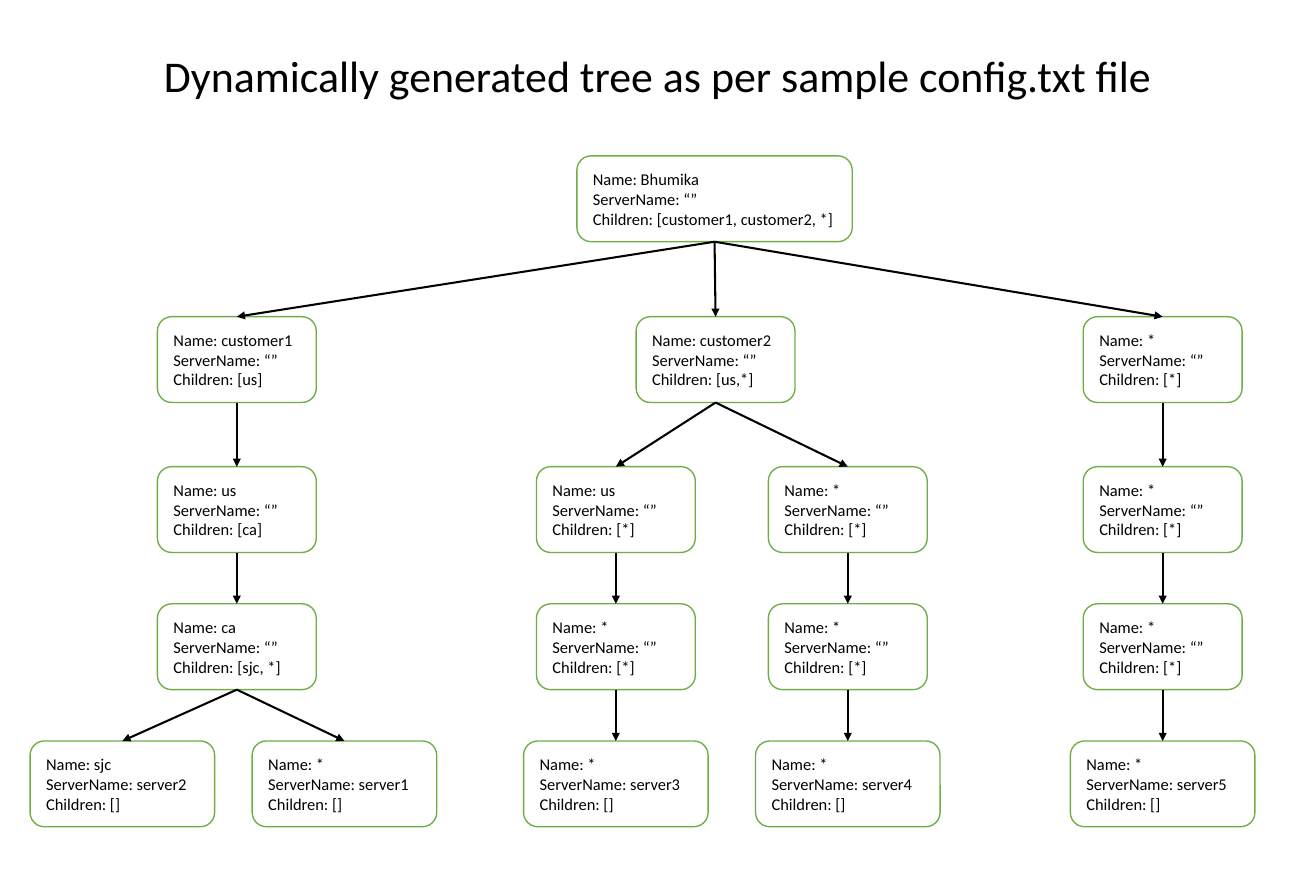
from dataclasses import dataclass
from pptx import Presentation
from pptx.util import Inches, Pt
from pptx.dml.color import RGBColor as Rgb
from pptx.enum.shapes import MSO_SHAPE as Geo, MSO_CONNECTOR as Link
from pptx.enum.text import PP_ALIGN as Align, MSO_ANCHOR as Anchor, MSO_AUTO_SIZE as Fit
from pptx.oxml.ns import qn
from lxml.etree import SubElement


@dataclass(frozen=True)
class Theme:
    font: str = "Calibri"
    ink: Rgb = Rgb(0, 0, 0)
    paper: Rgb = Rgb(255, 255, 255)
    edge: Rgb = Rgb(0x70, 0xAD, 0x47)
    title: int = 32
    body: int = 12
    border: float = 1
    arrow: float = 1.5


@dataclass(frozen=True)
class Node:
    name: str
    col: str
    kids: tuple = ()
    server: str = "“”"
    sep: str = ", "


THEME = Theme()
WIDE, HIGH = 40 / 3, 9

# Tree grid: column centres, row tops and box widths for each row
COLS = {"a": 1.24, "ab": 2.4, "b": 3.49, "c": 6.24, "top": 7.24, "mid": 7.25,
        "d": 8.59, "e": 11.78}
ROWS = (0, 1.63, 3.15, 4.54, 5.93)
WIDTHS = (2.79, 1.61, 1.61, 1.61, 1.87)
BOX_H = 0.87


def leaf(name, col, server):
    return Node(name, col, server=server)


def chain(names, col, server):
    """Nest one node per name, ending in a leaf named *."""
    node = leaf("*", col, server)
    for name in reversed(names):
        node = Node(name, col, (node,))
    return node


TREE = Node("Bhumika", "top", (
    Node("customer1", "ab", (
        Node("us", "ab", (
            Node("ca", "ab", (leaf("sjc", "a", "server2"), leaf("*", "b", "server1"))),
        )),
    )),
    Node("customer2", "mid", (
        chain(("us", "*"), "c", "server3"),
        chain(("*", "*"), "d", "server4"),
    ), sep=","),
    chain(("*", "*", "*"), "e", "server5"),
))


def write(frame, *lines, size=THEME.body, align=Align.LEFT, anchor=Anchor.TOP,
          pad=(0.1, 0.05), fit=Fit.NONE):
    """Fill a text frame, one paragraph per line."""
    frame.word_wrap = True
    frame.auto_size = fit
    frame.vertical_anchor = anchor
    frame.margin_left = frame.margin_right = Inches(pad[0])
    frame.margin_top = frame.margin_bottom = Inches(pad[1])
    for i, line in enumerate(lines):
        para = frame.add_paragraph() if i else frame.paragraphs[0]
        para.alignment = align
        run = para.add_run()
        run.text = line
        run.font.size = Pt(size)
        run.font.name = THEME.font
        run.font.color.rgb = THEME.ink


def head(slide, box):
    """Title across the given box."""
    area = slide.shapes.add_textbox(*map(Inches, box))
    write(area.text_frame, "Dynamically generated tree as per sample config.txt file",
          size=THEME.title, align=Align.CENTER, fit=Fit.SHAPE_TO_FIT_TEXT)


def card(slide, node, box):
    """Rounded box that describes one node."""
    shape = slide.shapes.add_shape(Geo.ROUNDED_RECTANGLE, *map(Inches, box))
    shape.shadow.inherit = False
    shape.fill.solid()
    shape.fill.fore_color.rgb = THEME.paper
    shape.line.color.rgb = THEME.edge
    shape.line.width = Pt(THEME.border)
    kids = node.sep.join(kid.name for kid in node.kids)
    write(shape.text_frame, f"Name: {node.name}", f"ServerName: {node.server}",
          f"Children: [{kids}]", anchor=Anchor.MIDDLE, pad=(0.12, 0.06))
    return shape


def arrow(slide, top, low):
    """Arrow from the bottom of one card to the top of another."""
    line = slide.shapes.add_connector(Link.STRAIGHT, 0, 0, 0, 0)
    line.begin_connect(top, 2)
    line.end_connect(low, 0)
    line.line.color.rgb = THEME.ink
    line.line.width = Pt(THEME.arrow)
    SubElement(line._element.spPr.find(qn("a:ln")), qn("a:tailEnd"), type="triangle")
    SubElement(line._element.spPr, qn("a:effectLst"))


def tree(slide, node, box, row=0):
    """Place a node and all below it, then join them; box is the tree region."""
    left, top = box[:2]
    wide = WIDTHS[row]
    shape = card(slide, node, (left + COLS[node.col] - wide / 2, top + ROWS[row], wide, BOX_H))
    for kid in node.kids:
        arrow(slide, shape, tree(slide, kid, box, row + 1))
    return shape


deck = Presentation()
deck.slide_width, deck.slide_height = Inches(WIDE), Inches(HIGH)
page = deck.slides.add_slide(deck.slide_layouts[6])
head(page, (0, 0.44, WIDE, 0.64))
tree(page, TREE, (0, 1.58, WIDE, 6.8))
deck.save("out.pptx")
